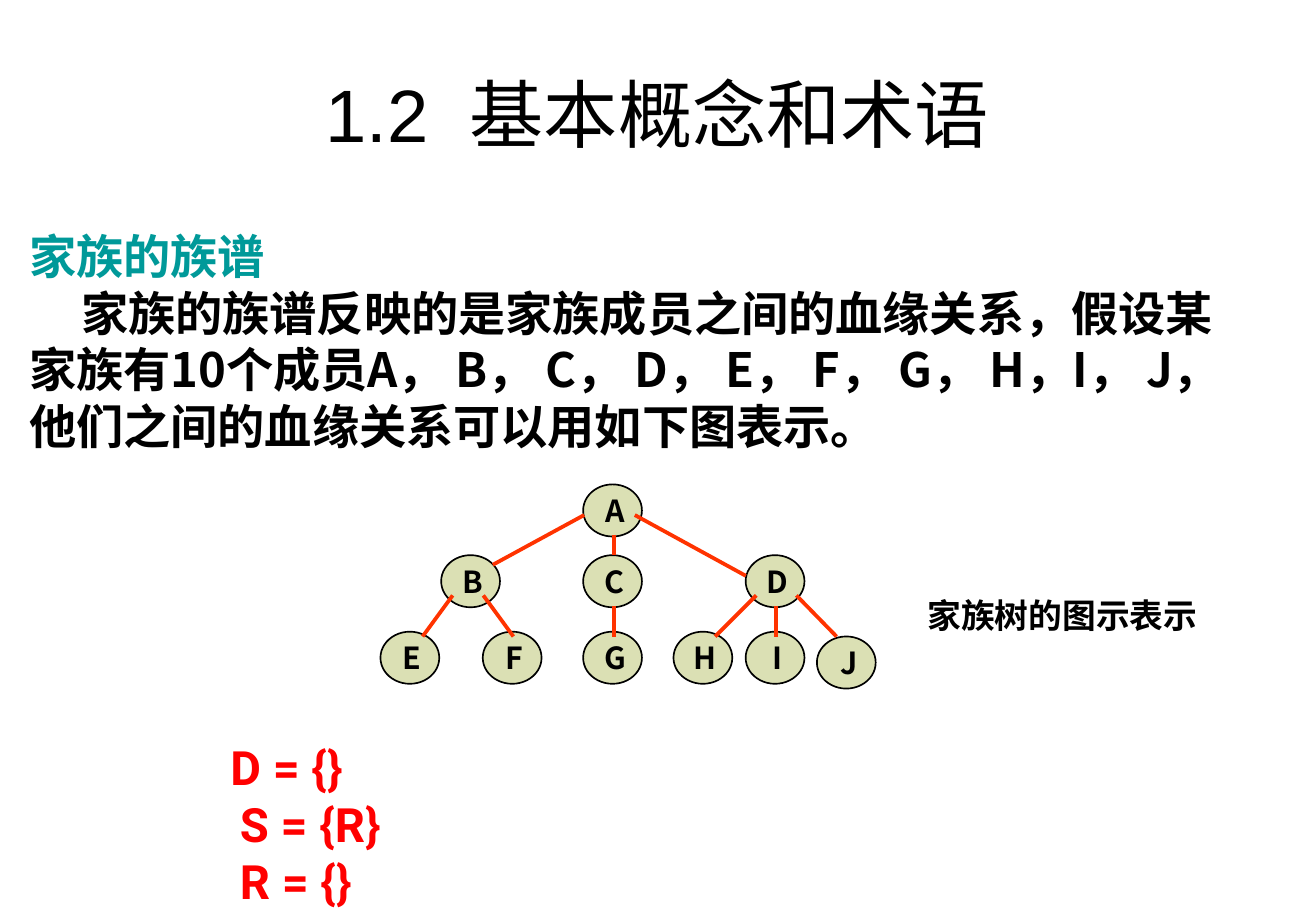
from lxml import etree
from pptx import Presentation
from pptx.dml.color import RGBColor
from pptx.enum.shapes import MSO_CONNECTOR, MSO_SHAPE
from pptx.enum.text import MSO_ANCHOR, PP_ALIGN
from pptx.oxml.ns import qn
from pptx.util import Cm, Pt

OVAL = MSO_SHAPE.OVAL
STRAIGHT = MSO_CONNECTOR.STRAIGHT
CENTER = PP_ALIGN.CENTER
LEFT = PP_ALIGN.LEFT
MIDDLE = MSO_ANCHOR.MIDDLE

BLACK = RGBColor(0x00, 0x00, 0x00)
TEAL = RGBColor(0x00, 0x99, 0x99)
RED = RGBColor(0xFF, 0x00, 0x00)
BRANCH = RGBColor(0xFF, 0x33, 0x00)
LEAF = RGBColor(0xDB, 0xE0, 0xB4)

CJK = "Noto Sans CJK SC"
NODE_WIDTH, NODE_HEIGHT = 1.23, 1.09

MEMBERS = {
    "A": (12.2, 10.13),
    "B": (9.23, 11.61), "C": (12.2, 11.61), "D": (15.6, 11.61),
    "E": (7.96, 13.21), "F": (10.1, 13.21), "G": (12.2, 13.21),
    "H": (14.09, 13.21), "I": (15.6, 13.21), "J": (17.09, 13.31),
}
BRANCHES = [
    (12.85, 11.18, 12.85, 11.61),
    (12.22, 10.77, 10.31, 11.81),
    (13.28, 10.77, 15.6, 12.04),
    (9.47, 12.45, 8.84, 13.31),
    (10.11, 12.45, 10.74, 13.31),
    (12.85, 12.67, 12.85, 13.31),
    (15.82, 12.45, 14.96, 13.31),
    (16.23, 12.67, 16.23, 13.31),
    (16.66, 12.45, 17.5, 13.31),
]
STORY = (
    "家族的族谱反映的是家族成员之间的血缘关系，假设某家族有10个成员"
    "A， B， C， D， E， F， G， H，I， J，他们之间的血缘关系可以用如下图表示。"
)


def write(para, text, color, size, name=CJK, bold=True):
    span = para.add_run()
    span.text = text
    formats = {"size": Pt(size), "name": name, "bold": bold}
    for key, value in formats.items():
        setattr(span.font, key, value)
    span.font.color.rgb = color
    east_asian = etree.SubElement(span.font._element, qn("a:ea"))
    east_asian.set("typeface", CJK)
    return span


def add_title(page):
    title = page.shapes.title
    place = {"left": Cm(1.37), "top": Cm(0.76), "width": Cm(24.77), "height": Cm(3.18)}
    for key, value in place.items():
        setattr(title, key, value)
    title.text_frame.vertical_anchor = MIDDLE
    para = title.text_frame.paragraphs[0]
    para.alignment = CENTER
    write(para, "1.2", BLACK, 44, "Arial", False)
    gap = write(para, " ", BLACK, 44, "Arial", False)
    gap.font._element.set("spc", "1200")
    write(para, "基本概念和术语", BLACK, 44, "Arial", False)


def add_text(page, place, lines, size, spacing, name=CJK):
    box = page.shapes.add_textbox(*map(Cm, place))
    frame = box.text_frame
    frame.word_wrap = True
    for index, (text, color, margin, indent) in enumerate(lines):
        para = frame.add_paragraph() if index else frame.paragraphs[0]
        para.alignment = LEFT
        para.line_spacing = Pt(spacing)
        properties = para._p.get_or_add_pPr()
        properties.set("marL", str(Cm(margin)))
        properties.set("indent", str(Cm(indent)))
        write(para, text, color, size, name)


def add_member(page, letter, left, top):
    oval = page.shapes.add_shape(OVAL, Cm(left), Cm(top), Cm(NODE_WIDTH), Cm(NODE_HEIGHT))
    oval.shadow.inherit = False
    oval.fill.solid()
    oval.fill.fore_color.rgb = LEAF
    oval.line.color.rgb = BLACK
    oval.line.width = Pt(1)
    frame = oval.text_frame
    formats = {"margin_left": Cm(0.1), "margin_right": 0, "margin_top": 0,
               "margin_bottom": 0, "vertical_anchor": MIDDLE, "word_wrap": False}
    for key, value in formats.items():
        setattr(frame, key, value)
    para = frame.paragraphs[0]
    para.alignment = CENTER
    write(para, letter, BLACK, 18)


def add_branch(page, ends):
    line = page.shapes.add_connector(STRAIGHT, *map(Cm, ends))
    line.line.color.rgb = BRANCH
    line.line.width = Pt(2.25)
    etree.SubElement(line._element.spPr, qn("a:effectLst"))


def main():
    deck = Presentation()
    deck.slide_width, deck.slide_height = Cm(27.53), Cm(19.05)
    page = deck.slides.add_slide(deck.slide_layouts[5])
    add_title(page)
    story = [("家族的族谱", TEAL, 0, 0), (STORY, BLACK, 0, 1.09)]
    add_text(page, (0.36, 4.62, 26.16, 5), story, 28, 33.7)
    for letter, (left, top) in MEMBERS.items():
        add_member(page, letter, left, top)
    for ends in BRANCHES:
        add_branch(page, ends)
    add_text(page, (19.15, 12.32, 6.99, 1.12), [("家族树的图示表示", BLACK, 0, 0)], 20, 24)
    sets = [("D = {}", RED, 3.22, 0), ("S = {R}", RED, 3.42, 0), ("R = {}", RED, 3.42, 0)]
    add_text(page, (1.35, 15.32, 8.99, 3.81), sets, 28, 33.7, "Roboto")
    deck.save("out.pptx")


if __name__ == "__main__":
    main()
